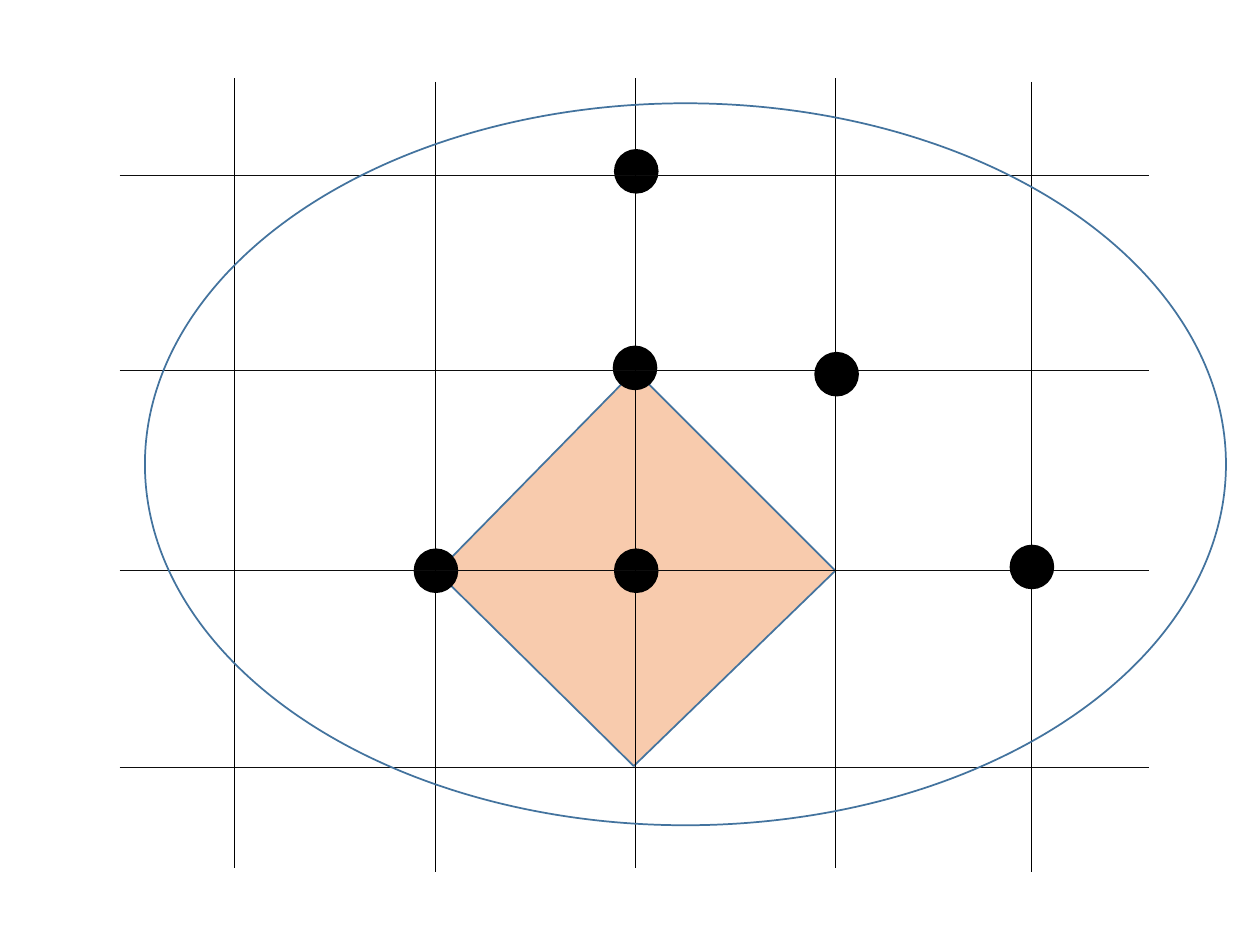
"""Build a slide with a lattice, its marked points, a diamond cell and an enclosing ellipse."""
from lxml.etree import SubElement
from pptx import Presentation
from pptx.dml.color import RGBColor
from pptx.enum.shapes import MSO_CONNECTOR, MSO_SHAPE
from pptx.oxml.ns import qn
from pptx.util import Inches, Pt

BLACK, GRAY, BLUE, PEACH = "000000", "0D0D0D", "43739E", "F8CBAD"
DOT = 0.34


def style(sp, fill, line):
    sp.shadow.inherit = False
    if fill:
        sp.fill.solid()
        sp.fill.fore_color.rgb = RGBColor.from_string(fill)
    else:
        sp.fill.background()
    sp.line.color.rgb = RGBColor.from_string(line)
    sp.line.width = Pt(1)


def add_line(x1, y1, x2, y2, color):
    cx = s.shapes.add_connector(MSO_CONNECTOR.STRAIGHT, Inches(x1), Inches(y1), Inches(x2), Inches(y2))
    cx.line.color.rgb = RGBColor.from_string(color)
    cx.line.width = Pt(0.5)
    SubElement(cx._element.spPr, qn("a:effectLst"))


prs = Presentation()
prs.slide_width, prs.slide_height = Inches(10), Inches(7.5)
s = prs.slides.add_slide(prs.slide_layouts[6])

corners = [(Inches(x), Inches(y)) for x, y in [(5.04, 2.94), (3.47, 4.54), (5.03, 6.08), (6.63, 4.53)]]
fb = s.shapes.build_freeform(*corners[0])
fb.add_line_segments(corners[1:], close=True)
style(fb.convert_to_shape(), PEACH, BLUE)

dots_below = [(4.88, 4.36), (4.88, 1.19), (3.29, 4.36), (4.87, 2.75)]
dots_above = [(6.47, 2.8), (8.02, 4.33)]

for x, y in dots_below:
    dot = s.shapes.add_shape(MSO_SHAPE.OVAL, Inches(x), Inches(y), Inches(DOT), Inches(DOT))
    style(dot, BLACK, BLACK)

for y in (6.09, 2.94, 4.53, 1.39):
    add_line(0.95, y, 9.12, y, GRAY)
for x, top in [(1.86, 0.62), (3.46, 0.65), (5.04, 0.62), (6.63, 0.62), (8.19, 0.65)]:
    add_line(x, top, x, top + 6.27, BLACK)

ovals = [(x, y, DOT, DOT, BLACK, BLACK) for x, y in dots_above]
ovals.append((1.15, 0.82, 8.58, 5.73, None, BLUE))
for x, y, w, h, fill, line in ovals:
    sp = s.shapes.add_shape(MSO_SHAPE.OVAL, Inches(x), Inches(y), Inches(w), Inches(h))
    style(sp, fill, line)

prs.save("out.pptx")
